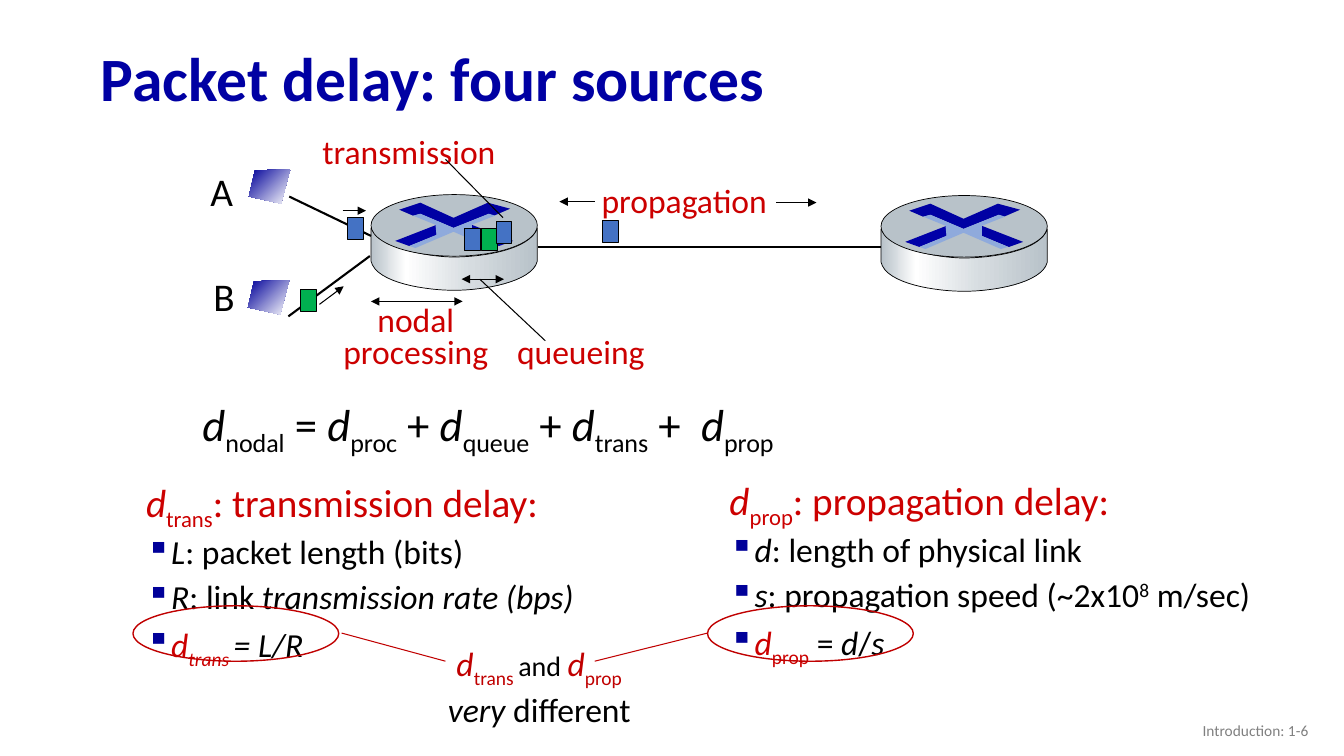
from dataclasses import dataclass
from typing import Any, NamedTuple

from lxml import etree
from pptx import Presentation
from pptx import util as u
from pptx.dml.color import RGBColor
from pptx.enum import shapes, text
from pptx.oxml import ns

BLACK, NAVY, RED, DARK_RED = "000000", "0000A3", "CC0000", "C00000"
BLUE, GREEN, STEEL, GREY = "4472C4", "00B050", "B8C2C9", "808080"
LEFT, CENTER, RIGHT = text.PP_ALIGN.LEFT, text.PP_ALIGN.CENTER, text.PP_ALIGN.RIGHT
Point = tuple[float, float]
Stops = list[tuple[int, str]]


@dataclass(frozen=True)
class Run:
    text: str
    color: str = BLACK
    size: float = 24
    italic: bool = False
    bold: bool = False
    baseline: int = 0


@dataclass(frozen=True)
class Line:
    runs: list[Run]
    align: Any = LEFT
    spacing: float = 1.0
    before: float = 0
    bullet: bool = False


class Packet(NamedTuple):
    left: float
    top: float
    color: str


class Label(NamedTuple):
    left: float
    top: float
    width: float
    height: float
    words: list[str]
    color: str = RED
    size: float = 24


class Stroke(NamedTuple):
    start: Point
    end: Point
    width: float = 0.75
    color: str = BLACK
    arrows: tuple[str, ...] = ()


def rgb(color: str) -> RGBColor:
    return RGBColor.from_string(color)


def apply(target: Any, values: dict[str, Any]) -> None:
    for name, value in values.items():
        setattr(target, name, value)


def add_child(parent: Any, tag: str, **attributes: str) -> Any:
    return etree.SubElement(parent, ns.qn(tag), attributes)


def paint(shape: Any, fill: str | Stops | None, outline: str | None = None,
          width: float = 0.75, angle: float = 0) -> None:
    """Fill with one colour, gradient stops or nothing, then set the outline."""
    shape.shadow.inherit = False
    if fill is None:
        shape.fill.background()
    elif isinstance(fill, str):
        shape.fill.solid()
        shape.fill.fore_color.rgb = rgb(fill)
    else:
        shape.fill.gradient()
        shape.fill.gradient_angle = angle
        stop_list = shape._element.spPr.find(".//" + ns.qn("a:gsLst"))
        for stop in list(stop_list):
            stop_list.remove(stop)
        for position, color in fill:
            stop = add_child(stop_list, "a:gs", pos=str(position * 1000))
            add_child(stop, "a:srgbClr", val=color)
    if outline:
        shape.line.color.rgb = rgb(outline)
        shape.line.width = u.Pt(width)
    else:
        shape.line.fill.background()


def add_preset(slide: Any, kind: Any, left: float, top: float, width: float, height: float) -> Any:
    return slide.shapes.add_shape(kind, u.Pt(left), u.Pt(top), u.Pt(width), u.Pt(height))


def add_polygon(slide: Any, left: float, top: float, points: list[Point]) -> Any:
    corners = [(u.Pt(left + x), u.Pt(top + y)) for x, y in points]
    builder = slide.shapes.build_freeform(*corners[0])
    builder.add_line_segments(corners[1:], close=True)
    return builder.convert_to_shape()


def curve(a: Point, b: Point, c: Point, d: Point, steps: int = 16) -> list[Point]:
    """Points along a cubic Bezier curve."""
    points = []
    for t in (step / steps for step in range(steps + 1)):
        weights = (1 - t) ** 3, 3 * t * (1 - t) ** 2, 3 * t * t * (1 - t), t ** 3
        x, y = (sum(w * p[axis] for w, p in zip(weights, (a, b, c, d))) for axis in (0, 1))
        points.append((x, y))
    return points


def add_stroke(slide: Any, stroke: Stroke) -> None:
    connector = slide.shapes.add_connector(
        shapes.MSO_CONNECTOR.STRAIGHT, *(u.Pt(v) for v in stroke.start + stroke.end))
    connector.line.color.rgb = rgb(stroke.color)
    connector.line.width = u.Pt(stroke.width)
    properties = connector._element.spPr
    for end in stroke.arrows:
        add_child(properties.find(ns.qn("a:ln")), f"a:{end}End", type="triangle")
    add_child(properties, "a:effectLst")


def write(frame: Any, lines: list[Line]) -> None:
    for index, line in enumerate(lines):
        paragraph = frame.add_paragraph() if index else frame.paragraphs[0]
        if line.bullet:
            properties = paragraph._p.get_or_add_pPr()
            apply_indent = {"marL": str(u.Pt(18)), "indent": str(-u.Pt(18))}
            for name, value in apply_indent.items():
                properties.set(name, value)
            add_child(add_child(properties, "a:buClr"), "a:srgbClr", val="000099")
            add_child(properties, "a:buChar", char="▪")
        apply(paragraph, {"alignment": line.align, "line_spacing": line.spacing,
                          "space_before": u.Pt(line.before)})
        for item in line.runs:
            run = paragraph.add_run()
            run.text = item.text
            apply(run.font, {"name": "Calibri", "size": u.Pt(item.size),
                             "italic": item.italic, "bold": item.bold})
            run.font.color.rgb = rgb(item.color)
            if item.baseline:
                run._r.get_or_add_rPr().set("baseline", str(item.baseline * 1000))


def add_text(slide: Any, left: float, top: float, width: float, height: float,
             lines: list[Line], **frame_format: Any) -> None:
    box = slide.shapes.add_textbox(u.Pt(left), u.Pt(top), u.Pt(width), u.Pt(height))
    apply(box.text_frame, {"word_wrap": True, **frame_format})
    write(box.text_frame, lines)


def delay(name: str, color: str = BLACK, size: float = 24, italic: bool = False) -> list[Run]:
    """The symbol d with a subscript."""
    return [Run("d", color, size, True), Run(name, color, size, italic, baseline=-25)]


def bullet(*runs: Run) -> Line:
    return Line(list(runs), spacing=0.9, before=6, bullet=True)


def add_router(slide: Any, left: float, top: float) -> None:
    body = (curve((118.8, 47.5), (115.2, 62.6), (79.9, 68.4), (59.4, 68.4))
            + curve((59.4, 68.4), (40.3, 68.4), (3.6, 63.4), (0, 47.5))
            + curve((0, 23.8), (5.8, 37.4), (39.6, 44.6), (59, 44.6))
            + curve((59, 44.6), (79.2, 44.6), (113.8, 39.6), (118.8, 23.8)))
    metal = [(0, STEEL), (21, "FFFFFF"), (60, "D6DCE0"), (100, STEEL)]
    paint(add_polygon(slide, left, top, body), metal, BLACK, 0.5)
    paint(add_preset(slide, shapes.MSO_SHAPE.OVAL, left, top, 118.8, 44), STEEL, BLACK, 0.5)
    upper_arrows = [(83.5, 5.8), (99.4, 10.1), (87.8, 15.1), (84.2, 13.7), (59, 23.8),
                    (35.3, 13.7), (30.2, 15.1), (20.2, 10.8), (35.3, 5.8), (59, 16.6)]
    right_arrow = [(72, 21.6), (101.5, 33.1), (91.4, 36.7), (72, 28.8)]
    left_arrow = [(46.8, 21.6), (46.8, 28.8), (27.4, 36.7), (17.3, 33.1)]
    inner_face = [(30.2, 15.1), (35.3, 13.7), (59, 23.8), (84.2, 13.7), (88.6, 15.1),
                  (72, 21.6), (72, 28.8), (90.7, 36.7), (85.7, 38.2), (59, 26.6),
                  (31.7, 38.2), (27.4, 36.7), (46.8, 28.8), (46.1, 21.6)]
    for points, color in ((upper_arrows, NAVY), (right_arrow, NAVY),
                          (left_arrow, "0000A8"), (inner_face, "8FAADC")):
        paint(add_polygon(slide, left, top, points), color)


def add_host(slide: Any, left: float, top: float) -> None:
    screen = add_polygon(slide, left, top, [(29.5, 0), (4.3, 0.7), (0, 19.4), (23, 24.5)])
    paint(screen, [(0, "000099"), (100, "FFFFFF")], angle=315)


LINKS = [Stroke((206.6, 140.4), (265, 168.5), 1.5), Stroke((206, 226), (264.2, 182.9), 1.5),
         Stroke((384.5, 176.4), (651, 176.4), 2)]
PACKETS = [Packet(430.6, 157.7, BLUE), Packet(332, 163.4, BLUE), Packet(344.2, 163.4, GREEN),
           Packet(354.3, 158.4, BLUE), Packet(248.4, 155.5, BLUE), Packet(214.6, 207, GREEN)]
POINTERS = [
    Stroke((554.4, 144.7), (583.2, 144.7), arrows=("tail",)),
    Stroke((424.8, 144), (399.6, 144), arrows=("tail",)),
    Stroke((330.5, 215.3), (265, 215.3), arrows=("head", "tail")),
    Stroke((360, 199.4), (329.8, 199.4), arrows=("head", "tail")),
    Stroke((244.8, 150.5), (261.4, 150.5), arrows=("tail",)),
    Stroke((228.2, 217.4), (245.5, 204.5), arrows=("tail",)),
    Stroke((389.5, 243.4), (342.7, 199.4)), Stroke((318.2, 113.8), (359.3, 155.5)),
    Stroke((505.4, 452.2), (424.8, 472.3), color=DARK_RED),
    Stroke((244, 452.2), (318.2, 472.3), color=DARK_RED)]
LABELS = [Label(422.6, 125.3, 134, 36, ["propagation"]),
          Label(237.6, 215.3, 118.8, 54.7, ["nodal", "processing"]),
          Label(362.2, 232.6, 106.6, 36, ["queueing"]),
          Label(223.2, 90, 139, 36, ["transmission"]),
          Label(143.3, 116, 31, 41, ["A"], BLACK, 28),
          Label(145.4, 190.8, 30.2, 41, ["B"], BLACK, 28)]
TRANSMISSION = [
    Line(delay("trans", RED, 28) + [Run(": transmission delay:", RED, 28)], spacing=0.9),
    bullet(Run("L", italic=True), Run(": packet length (bits)")),
    bullet(Run("R", italic=True), Run(": link "), Run("transmission rate (bps)", italic=True)),
    bullet(*delay("trans ", RED, italic=True), Run("= L/R", italic=True))]
PROPAGATION = [
    Line(delay("prop", RED, 28) + [Run(": propagation delay:", RED, 28)], spacing=0.85),
    bullet(Run("d", italic=True), Run(": length of physical link")),
    bullet(Run("s", italic=True), Run(": propagation speed (~2x10"),
           Run("8", baseline=30), Run(" m/sec)")),
    bullet(*delay("prop", RED), Run(" = "), Run("d", italic=True), Run("/"),
           Run("s", italic=True))]
COMPARISON = [
    Line(delay("trans ", DARK_RED) + [Run("and ", size=20)] + delay("prop", DARK_RED), CENTER),
    Line([Run("very ", italic=True), Run("different")], CENTER)]


def formula() -> Line:
    runs = delay("nodal", size=32)
    for sign, name in ((" = ", "proc"), (" + ", "queue"), (" + ", "trans"), (" +  ", "prop")):
        runs += [Run(sign, size=32)] + delay(name, size=32)
    return Line(runs, spacing=0.85)


def main() -> None:
    presentation = Presentation()
    apply(presentation, {"slide_width": u.Pt(960), "slide_height": u.Pt(540)})
    slide = presentation.slides.add_slide(presentation.slide_layouts[5])
    title = slide.shapes.title
    apply(title, {"left": u.Pt(64.8), "top": u.Pt(23), "width": u.Pt(828), "height": u.Pt(70.6)})
    apply(title.text_frame, {"vertical_anchor": text.MSO_ANCHOR.MIDDLE, "word_wrap": True,
                             "auto_size": text.MSO_AUTO_SIZE.NONE})
    write(title.text_frame,
          [Line([Run("Packet delay: four sources", NAVY, 44, bold=True)], spacing=0.9)])

    add_router(slide, 265, 139)
    for link in LINKS:
        add_stroke(slide, link)
    add_router(slide, 629.3, 139.7)
    for left, top in ((177.8, 121), (177.1, 200.2)):
        add_host(slide, left, top)
    for packet in PACKETS:
        box = add_preset(slide, shapes.MSO_SHAPE.RECTANGLE, packet.left, packet.top, 11.2, 15.5)
        paint(box, packet.color, BLACK)
    for label in LABELS:
        several = len(label.words) > 1
        lines = [Line([Run(word, label.color, label.size)], CENTER if several else LEFT,
                      0.8 if several else 1.0) for word in label.words]
        add_text(slide, *label[:4], lines, word_wrap=False,
                 auto_size=text.MSO_AUTO_SIZE.SHAPE_TO_FIT_TEXT)

    add_text(slide, 137.5, 282.2, 486, 44, [formula()])
    add_text(slide, 97.2, 338.4, 345, 163.4, TRANSMISSION)
    add_text(slide, 514, 339, 405.4, 172.8, PROPAGATION)
    add_text(slide, 302.4, 455.8, 165.6, 65.5, COMPARISON)
    for left in (95, 505.4):
        ring = add_preset(slide, shapes.MSO_SHAPE.OVAL, left, 432.7, 147, 39.6)
        paint(ring, None, DARK_RED, 1)
    for pointer in POINTERS:
        add_stroke(slide, pointer)
    add_text(slide, 725.8, 507.6, 216, 28.8, [Line([Run("Introduction: 1-6", GREY, 11)], RIGHT)],
             vertical_anchor=text.MSO_ANCHOR.MIDDLE)
    presentation.save("out.pptx")


if __name__ == "__main__":
    main()
